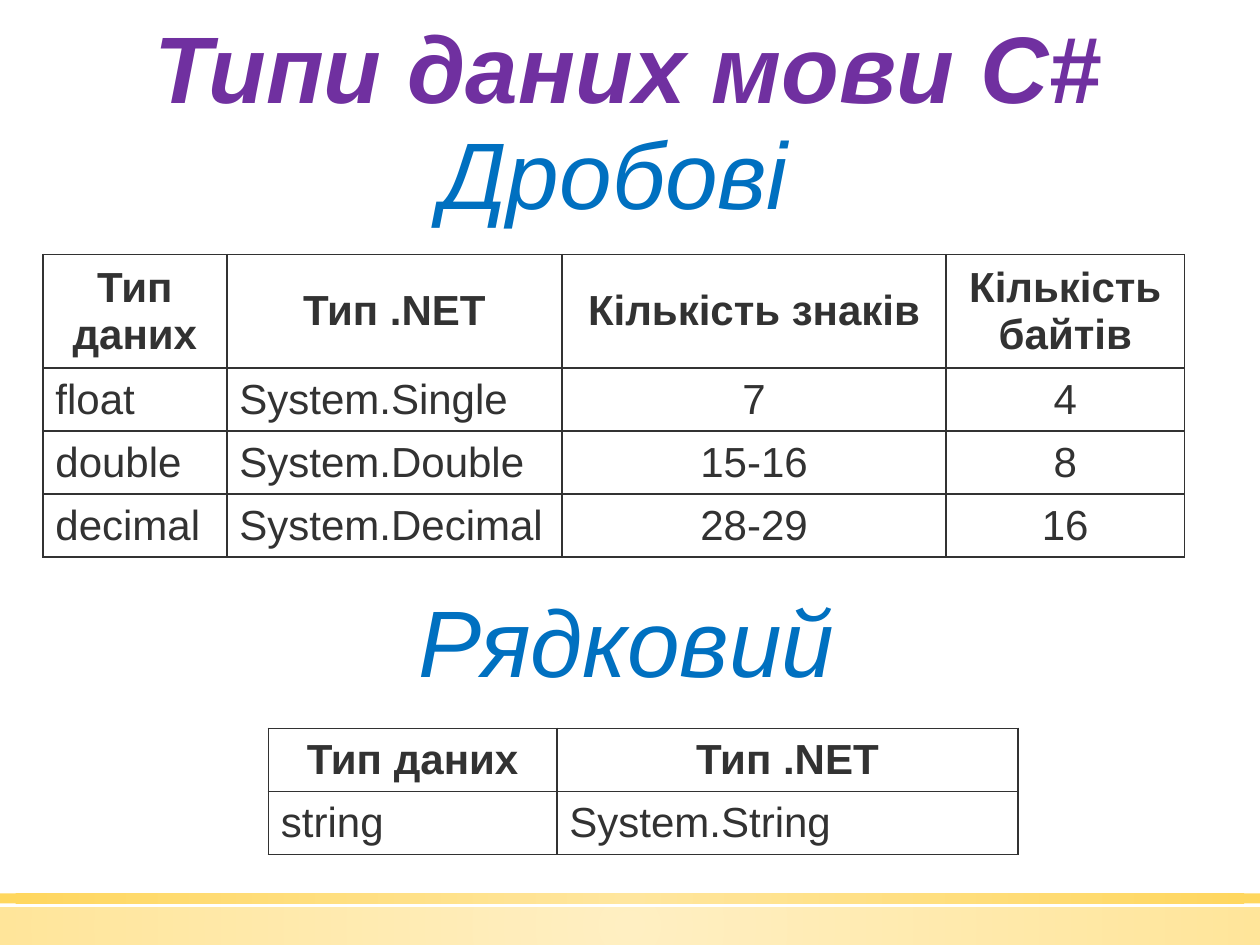
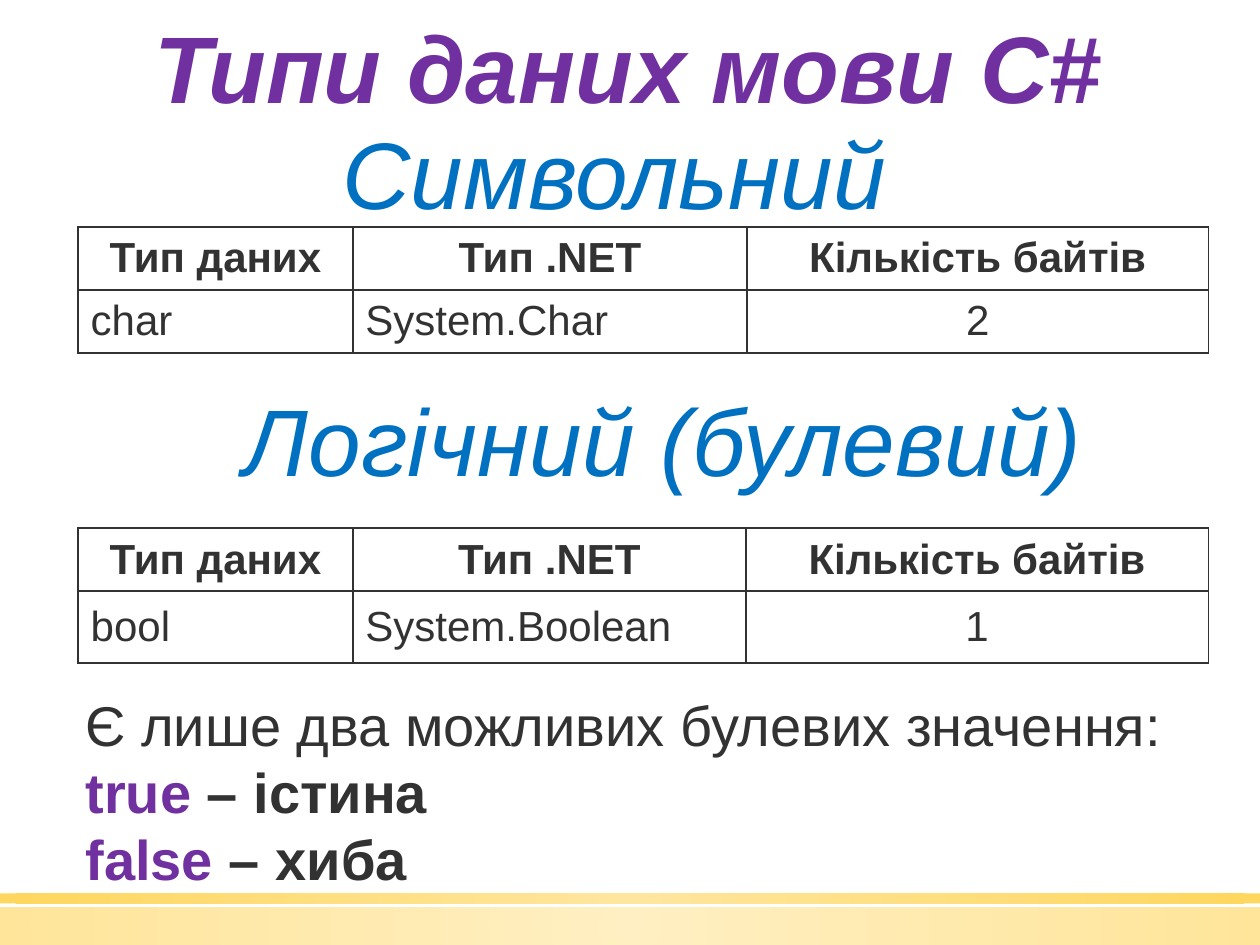
from lxml import etree
from pptx import Presentation
from pptx.dml.color import RGBColor
from pptx.enum.shapes import MSO_SHAPE
from pptx.enum.text import MSO_ANCHOR, MSO_AUTO_SIZE, PP_ALIGN
from pptx.oxml.ns import qn
from pptx.util import Pt

PX = 9144
PAGE_WIDTH, PAGE_HEIGHT = 1000, 750
BLANK_LAYOUT = 6
FONT = "Arial"

INK = RGBColor(0x32, 0x32, 0x32)
PURPLE = RGBColor(0x70, 0x30, 0xA0)
BLUE = RGBColor(0x00, 0x70, 0xC0)
WHITE = RGBColor(0xFF, 0xFF, 0xFF)
PALE_GOLD = RGBColor(0xFF, 0xE0, 0x86)
GOLD = RGBColor(0xFF, 0xCD, 0x36)

LEFT, CENTER = PP_ALIGN.LEFT, PP_ALIGN.CENTER
MIDDLE = MSO_ANCHOR.MIDDLE
GROW = MSO_AUTO_SIZE.SHAPE_TO_FIT_TEXT
RECTANGLE = MSO_SHAPE.RECTANGLE

CELL_SIDES = ("a:lnL", "a:lnR", "a:lnT", "a:lnB")


def emu(*lengths):
    return [length * PX for length in lengths]


def add_span(para, text, size=24, color=INK, bold=False, italic=False):
    span = para.add_run()
    span.text = text
    span.font.name = FONT
    span.font.size = Pt(size)
    span.font.color.rgb = color
    span.font.bold = bold
    span.font.italic = italic


def add_text_box(page, box):
    frame = page.shapes.add_textbox(*emu(*box)).text_frame
    frame.word_wrap = True
    frame.auto_size = GROW
    return frame


def add_child(parent, tag, **attributes):
    return etree.SubElement(parent, qn(tag), attributes)


def add_color(parent, color, opacity=100):
    node = add_child(parent, "a:srgbClr", val=str(color))
    if opacity < 100:
        add_child(node, "a:alpha", val=str(opacity * 1000))


def add_band(page, box, opacity):
    band = page.shapes.add_shape(RECTANGLE, *emu(*box))
    band.shadow.inherit = False
    band.line.fill.background()
    gradient = etree.Element(qn("a:gradFill"), rotWithShape="1")
    stops = add_child(gradient, "a:gsLst")
    for position, color in ((0, PALE_GOLD), (100, GOLD)):
        stop = add_child(stops, "a:gs", pos=str(position * 1000))
        add_color(stop, color, opacity)
    focus = add_child(gradient, "a:path", path="circle")
    add_child(focus, "a:fillToRect", l="50000", t="50000", r="50000", b="50000")
    band.element.spPr.find(qn("a:prstGeom")).addnext(gradient)


def add_title(page):
    para = add_text_box(page, (10, 2, 977, 101)).paragraphs[0]
    para.alignment = CENTER
    add_span(para, "Типи даних мови C#", size=54, color=PURPLE, bold=True, italic=True)


def add_heading(page, box, text, margin=0, indent=0):
    para = add_text_box(page, box).paragraphs[0]
    para.alignment = CENTER
    para.line_spacing = 0.8
    properties = para._p.get_or_add_pPr()
    properties.set("marL", str(margin * PX))
    properties.set("indent", str(indent * PX))
    add_span(para, text, size=54, color=BLUE, italic=True)


def add_borders(cell):
    properties = cell._tc.get_or_add_tcPr()
    for position, side in enumerate(CELL_SIDES):
        line = etree.Element(qn(side), w=str(Pt(1)))
        add_color(add_child(line, "a:solidFill"), INK)
        properties.insert(position, line)


def add_type_table(page, left, top, widths, heights, rows):
    box = emu(left, top, sum(widths), sum(heights))
    table = page.shapes.add_table(len(rows), len(widths), *box).table
    table.first_row = table.horz_banding = False
    for column, width in zip(table.columns, widths):
        column.width = width * PX
    for row, height in zip(table.rows, heights):
        row.height = height * PX
    for row_index, texts in enumerate(rows):
        is_header = row_index == 0
        for column_index, text in enumerate(texts):
            cell = table.cell(row_index, column_index)
            cell.fill.solid()
            cell.fill.fore_color.rgb = WHITE
            cell.vertical_anchor = MIDDLE
            para = cell.text_frame.paragraphs[0]
            para.alignment = CENTER if is_header or column_index > 1 else LEFT
            add_span(para, text, bold=is_header)
            add_borders(cell)


def add_boolean_values(page, box):
    frame = add_text_box(page, box)
    add_span(frame.paragraphs[0], "Є лише два можливих булевих значення:", size=32)
    for value, meaning in (("true", "істина"), ("false", "хиба")):
        para = frame.add_paragraph()
        add_span(para, value, size=32, color=PURPLE, bold=True)
        add_span(para, f" – {meaning}", size=32, bold=True)


def add_page(deck):
    page = deck.slides.add_slide(deck.slide_layouts[BLANK_LAYOUT])
    add_band(page, (0, 720, PAGE_WIDTH, 30), 50)
    add_band(page, (0, 709, PAGE_WIDTH, 8), 80)
    add_title(page)
    return page


def build_fraction_and_string_page(deck):
    page = add_page(deck)
    add_type_table(page, 34, 202, (146, 266, 305, 189), (90, 50, 50, 50), (
        ("Тип даних", "Тип .NET", "Кількість знаків", "Кількість байтів"),
        ("float", "System.Single", "7", "4"),
        ("double", "System.Double", "15-16", "8"),
        ("decimal", "System.Decimal", "28-29", "16"),
    ))
    add_heading(page, (338, 104, 299, 83), "Дробові")
    add_heading(page, (320, 475, 354, 83), "Рядковий")
    add_type_table(page, 213, 578, (229, 366), (50, 50), (
        ("Тип даних", "Тип .NET"),
        ("string", "System.String"),
    ))


def build_character_and_boolean_page(deck):
    page = add_page(deck)
    header = ("Тип даних", "Тип .NET", "Кількість байтів")
    add_type_table(page, 62, 180, (218, 313, 366), (50, 50),
                   (header, ("char", "System.Char", "2")))
    add_heading(page, (260, 104, 455, 83), "Символьний")
    add_heading(page, (119, 316, 764, 83), "Логічний (булевий)", margin=81, indent=-31)
    add_type_table(page, 62, 419, (218, 312, 367), (50, 57),
                   (header, ("bool", "System.Boolean", "1")))
    add_boolean_values(page, (58, 543, 952, 172))


def main():
    deck = Presentation()
    deck.slide_width, deck.slide_height = emu(PAGE_WIDTH, PAGE_HEIGHT)
    build_fraction_and_string_page(deck)
    build_character_and_boolean_page(deck)
    deck.save("out.pptx")


if __name__ == "__main__":
    main()
